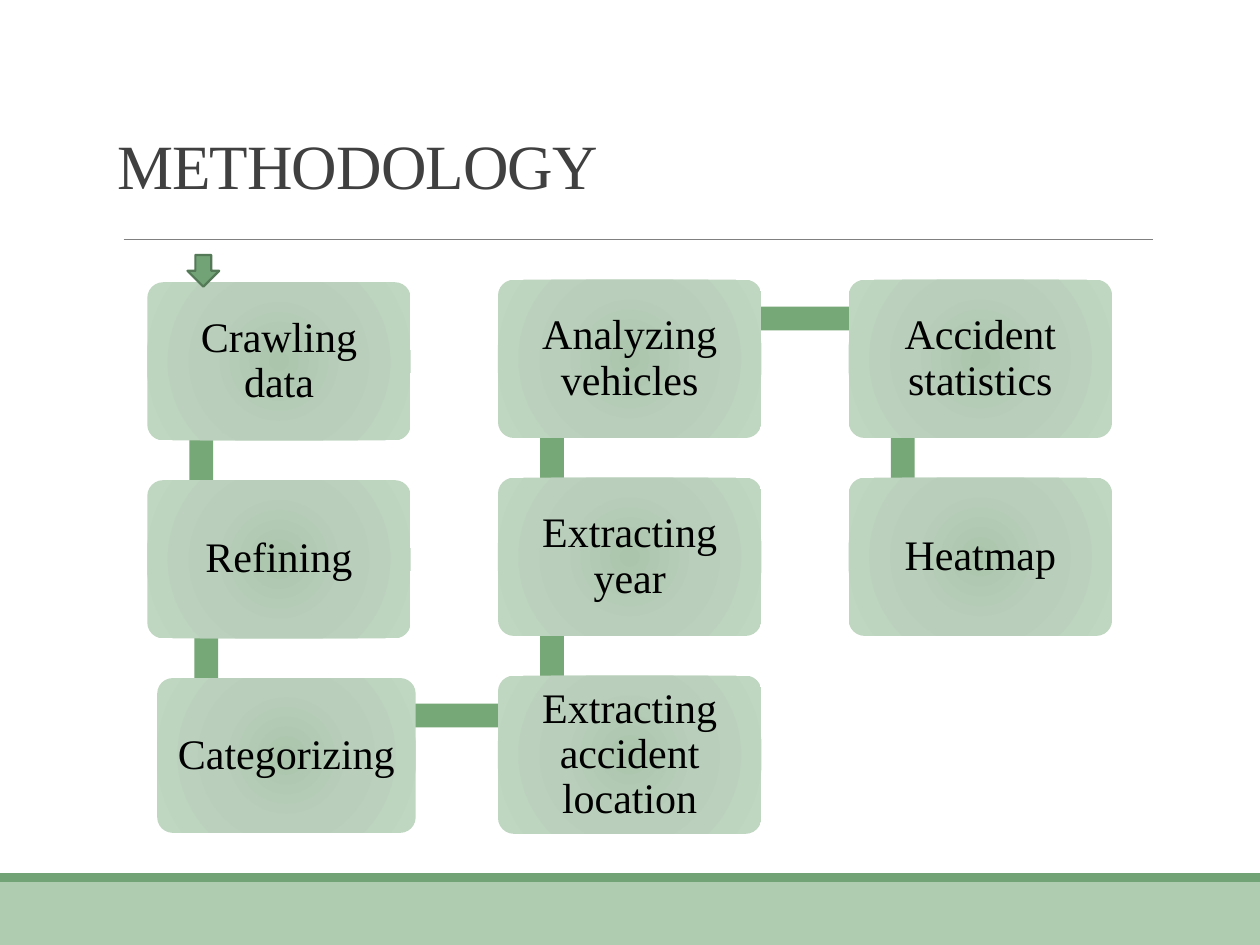
import dataclasses
import itertools

import pptx
import pptx.dml.color
import pptx.enum.shapes
import pptx.enum.text
import pptx.oxml
import pptx.oxml.ns
import pptx.util

Cm = pptx.util.Cm
Pt = pptx.util.Pt
RGBColor = pptx.dml.color.RGBColor
MSO_SHAPE = pptx.enum.shapes.MSO_SHAPE
MSO_ANCHOR = pptx.enum.text.MSO_ANCHOR
PP_ALIGN = pptx.enum.text.PP_ALIGN


@dataclasses.dataclass(frozen=True)
class Theme:
    font: str = "Times New Roman"
    title_size: float = 36
    step_size: float = 24
    title_color: str = "404040"
    step_color: str = "000000"
    rule: str = "808080"
    footer: str = "B0CCB0"
    accent: str = "72A376"
    accent_outline: str = "547957"
    bar: str = "76A776"
    step_stops: tuple = ((0, "ABC5AD"), (45, "B9CFBB"), (100, "BFD6C1"))


@dataclasses.dataclass(frozen=True)
class Step:
    """One box of the flow; lengths are in centimetres."""
    text: str
    column: int
    row: int
    shift_x: float = 0
    shift_y: float = 0
    width: float = 5.31
    height: float = 3.19

    @property
    def left(self) -> float:
        return 2.97 + 7.07 * self.column + self.shift_x

    @property
    def top(self) -> float:
        return 5.64 + 3.99 * self.row + self.shift_y

    @property
    def joint(self) -> tuple[float, float]:
        """Point behind the box where the bars meet."""
        return self.left + 1.09, self.top + 0.78


THEME = Theme()
BAR_THICKNESS = 0.48
STEPS = [
    Step("Crawling data", 0, 0, shift_y=0.05),
    Step("Refining", 0, 1, shift_y=0.05),
    Step("Categorizing", 0, 2, shift_x=0.2, shift_y=0.05, width=5.21, height=3.12),
    Step("Extracting accident location", 1, 2),
    Step("Extracting year", 1, 1),
    Step("Analyzing vehicles", 1, 0),
    Step("Accident statistics", 2, 0),
    Step("Heatmap", 2, 1),
]


def add_filled_shape(slide, kind, left: float, top: float, width: float, height: float, color: str):
    shape = slide.shapes.add_shape(kind, Cm(left), Cm(top), Cm(width), Cm(height))
    shape.shadow.inherit = False
    shape.fill.solid()
    shape.fill.fore_color.rgb = RGBColor.from_string(color)
    shape.line.fill.background()
    return shape


def set_radial_fill(shape, stops: tuple) -> None:
    stop_xml = "".join(
        f'<a:gs pos="{position * 1000}"><a:srgbClr val="{color}"/></a:gs>'
        for position, color in stops
    )
    gradient = pptx.oxml.parse_xml(
        f'<a:gradFill {pptx.oxml.ns.nsdecls("a")} rotWithShape="1"><a:gsLst>{stop_xml}</a:gsLst>'
        '<a:path path="circle"><a:fillToRect l="100000" t="100000" r="100000" b="100000"/>'
        "</a:path></a:gradFill>"
    )
    properties = shape._element.spPr
    solid = properties.find(pptx.oxml.ns.qn("a:solidFill"))
    properties.replace(solid, gradient)


def write_text(text_frame, text: str, size: float, color: str, line_spacing: float, alignment):
    text_frame.word_wrap = True
    text_frame.text = text
    paragraph = text_frame.paragraphs[0]
    paragraph.alignment = alignment
    paragraph.line_spacing = line_spacing
    run = paragraph.runs[0]
    run.font.name = THEME.font
    run.font.size = Pt(size)
    run.font.color.rgb = RGBColor.from_string(color)
    return run


def add_bar(slide, start: Step, end: Step) -> None:
    """Join two steps with an upright or level bar."""
    (start_x, start_y), (end_x, end_y) = start.joint, end.joint
    center_x, center_y = (start_x + end_x) / 2, (start_y + end_y) / 2
    if start.column == end.column:
        width, height = BAR_THICKNESS, abs(end_y - start_y)
    else:
        width, height = abs(end_x - start_x), BAR_THICKNESS
    add_filled_shape(slide, MSO_SHAPE.RECTANGLE, center_x - width / 2, center_y - height / 2,
                     width, height, THEME.bar)


def add_step(slide, step: Step) -> None:
    box = add_filled_shape(slide, MSO_SHAPE.ROUNDED_RECTANGLE, step.left, step.top,
                           step.width, step.height, THEME.bar)
    box.adjustments[0] = 0.1
    set_radial_fill(box, THEME.step_stops)
    text_frame = box.text_frame
    text_frame.margin_left = text_frame.margin_right = Cm(0.25)
    text_frame.margin_top = text_frame.margin_bottom = Cm(0.25)
    text_frame.vertical_anchor = MSO_ANCHOR.MIDDLE
    write_text(text_frame, step.text, THEME.step_size, THEME.step_color, 0.9, PP_ALIGN.CENTER)


def add_title(slide, text: str) -> None:
    title = slide.shapes.add_textbox(Cm(2.11), Cm(1.47), Cm(20.78), Cm(2.74))
    title.text_frame.vertical_anchor = MSO_ANCHOR.BOTTOM
    run = write_text(title.text_frame, text, THEME.title_size, THEME.title_color, 0.85,
                     PP_ALIGN.LEFT)
    run._r.get_or_add_rPr().set("spc", "-50")


def add_rule(slide) -> None:
    rule = slide.shapes.add_connector(pptx.enum.shapes.MSO_CONNECTOR.STRAIGHT,
                                      Cm(2.49), Cm(4.83), Cm(23.24), Cm(4.83))
    rule.line.color.rgb = RGBColor.from_string(THEME.rule)
    rule.line.width = Pt(0.5)
    rule._element.spPr.append(
        pptx.oxml.parse_xml(f'<a:effectLst {pptx.oxml.ns.nsdecls("a")}/>'))


def main() -> None:
    presentation = pptx.Presentation()
    presentation.slide_width, presentation.slide_height = Cm(25.4), Cm(19.05)
    slide = presentation.slides.add_slide(presentation.slide_layouts[6])

    add_filled_shape(slide, MSO_SHAPE.RECTANGLE, 0, 17.78, 25.4, 1.27, THEME.footer)
    add_filled_shape(slide, MSO_SHAPE.RECTANGLE, 0, 17.6, 25.4, 0.18, THEME.accent)
    add_rule(slide)
    add_title(slide, "METHODOLOGY")

    for start, end in itertools.pairwise(STEPS):
        add_bar(slide, start, end)
    for step in STEPS:
        add_step(slide, step)

    start_arrow = add_filled_shape(slide, MSO_SHAPE.DOWN_ARROW, 3.78, 5.14, 0.64, 0.64,
                                   THEME.accent)
    start_arrow.line.color.rgb = RGBColor.from_string(THEME.accent_outline)
    start_arrow.line.width = Pt(1.25)

    presentation.save("out.pptx")


if __name__ == "__main__":
    main()
